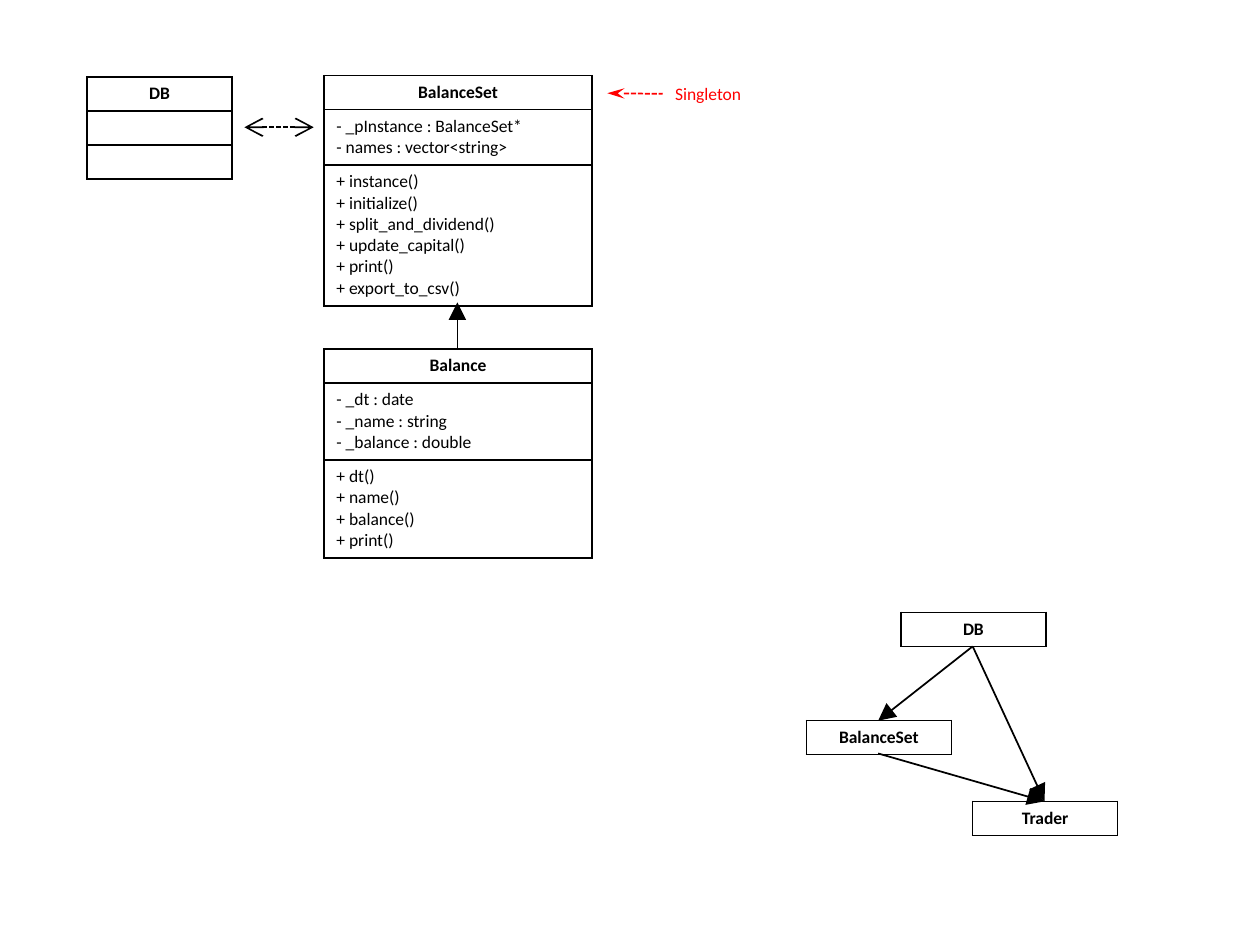
from typing import NamedTuple

from lxml import etree
from pptx import Presentation
from pptx.dml.color import RGBColor
from pptx.enum.dml import MSO_LINE
from pptx.enum.shapes import MSO_CONNECTOR, MSO_SHAPE
from pptx.enum.text import MSO_ANCHOR, MSO_AUTO_SIZE, PP_ALIGN
from pptx.oxml.ns import qn
from pptx.util import Inches, Pt

BLACK = RGBColor(0, 0, 0)
WHITE = RGBColor(255, 255, 255)
RED = RGBColor(255, 0, 0)
DASH = MSO_LINE.SQUARE_DOT
STRAIGHT = MSO_CONNECTOR.STRAIGHT
RECT = MSO_SHAPE.RECTANGLE
TOP = MSO_ANCHOR.TOP
FIT = MSO_AUTO_SIZE.SHAPE_TO_FIT_TEXT
LEFT, CENTER = PP_ALIGN.LEFT, PP_ALIGN.CENTER
FONT = "Calibri"
LINE_H = 0.17  # one line of 10 pt text
PAD = 0.1  # top and bottom cell margins together
BLANK = 6


class Box(NamedTuple):
    """A UML class: its name, then one group of members per section."""
    name: str
    left: float
    top: float
    width: float
    groups: tuple[tuple[str, ...], ...] = ()


class Link(NamedTuple):
    """A line whose head sits at the first point."""
    start: tuple[float, float]
    end: tuple[float, float]
    head: str = "triangle"
    tail: str = ""
    color: RGBColor = BLACK
    dashed: bool = False
    width: str = "lg"


BOXES = [
    Box("Balance", 2.57, 2.77, 2.13, (
        ("- _dt : date", "- _name : string", "- _balance : double"),
        ("+ dt()", "+ name()", "+ balance()", "+ print()"),
    )),
    Box("BalanceSet", 2.57, 0.6, 2.13, (
        ("- _pInstance : BalanceSet*", "- names : vector<string>"),
        ("+ instance()", "+ initialize()", "+ split_and_dividend()",
         "+ update_capital()", "+ print()", "+ export_to_csv()"),
    )),
    Box("DB", 0.69, 0.61, 1.15, (("",), ("",))),
    Box("DB", 7.15, 4.86, 1.15),
    Box("BalanceSet", 6.4, 5.72, 1.15),
    Box("Trader", 7.72, 6.36, 1.15),
]

LINKS = [
    Link((3.63, 2.4), (3.63, 2.77)),
    Link((1.94, 1.01), (2.49, 1.01), "arrow", "arrow", dashed=True),
    Link((6.97, 5.72), (7.72, 5.13)),
    Link((8.29, 6.36), (7.72, 5.13)),
    Link((8.29, 6.36), (6.97, 5.98)),
]
NOTE_LINK = Link((4.82, 0.74), (5.26, 0.74), "stealth",
                 color=RED, dashed=True, width="med")


def style(para, color: RGBColor, bold: bool, align) -> None:
    para.alignment = align
    font = para.font
    font.name, font.size, font.bold = FONT, Pt(10), bold
    font.color.rgb = color


def add_border(cell) -> None:
    props = cell._tc.get_or_add_tcPr()
    for pos, side in enumerate(("lnL", "lnR", "lnT", "lnB")):
        line = etree.Element(qn(f"a:{side}"), w=str(Pt(1)))
        fill = etree.SubElement(line, qn("a:solidFill"))
        etree.SubElement(fill, qn("a:srgbClr"), val=str(BLACK))
        props.insert(pos, line)


def add_box(shapes, box: Box) -> None:
    rows = ((box.name,), *box.groups)
    sizes = [PAD + LINE_H * len(row) for row in rows]
    table = shapes.add_table(len(rows), 1, Inches(box.left), Inches(box.top),
                             Inches(box.width), Inches(sum(sizes))).table
    table.first_row = table.horz_banding = False
    for idx, (row, size) in enumerate(zip(rows, sizes)):
        table.rows[idx].height = Inches(size)
        cell = table.cell(idx, 0)
        cell.fill.background()
        add_border(cell)
        cell.text = "\n".join(row)
        for para in cell.text_frame.paragraphs:
            style(para, BLACK, idx == 0, LEFT if idx else CENTER)


def add_link(shapes, link: Link):
    points = [Inches(n) for n in link.start + link.end]
    line = shapes.add_connector(STRAIGHT, *points)
    line.line.color.rgb = link.color
    line.line.width = Pt(1)
    if link.dashed:
        line.line.dash_style = DASH
    props = line._element.spPr
    for tag, kind in (("headEnd", link.head), ("tailEnd", link.tail)):
        if kind:
            etree.SubElement(props.get_or_add_ln(), qn(f"a:{tag}"),
                             type=kind, w=link.width, len="lg")
    etree.SubElement(props, qn("a:effectLst"))
    return line


def add_note(shapes, text: str):
    note = shapes.add_shape(RECT, Inches(5.26), Inches(0.61),
                            Inches(0.73), Inches(0.27))
    note.shadow.inherit = False
    note.fill.solid()
    note.fill.fore_color.rgb = WHITE
    note.line.fill.background()
    frame = note.text_frame
    frame.word_wrap = False
    frame.auto_size = FIT
    frame.vertical_anchor = TOP
    frame.text = text
    style(frame.paragraphs[0], RED, False, LEFT)
    return note


def main() -> None:
    deck = Presentation()
    deck.slide_width, deck.slide_height = Inches(10), Inches(7.5)
    shapes = deck.slides.add_slide(deck.slide_layouts[BLANK]).shapes

    # Class boxes and their relations
    for box in BOXES:
        add_box(shapes, box)
    for link in LINKS:
        add_link(shapes, link)

    # Singleton remark with its arrow
    note = add_note(shapes, "Singleton")
    add_link(shapes, NOTE_LINK).end_connect(note, 1)

    deck.save("out.pptx")


if __name__ == "__main__":
    main()
